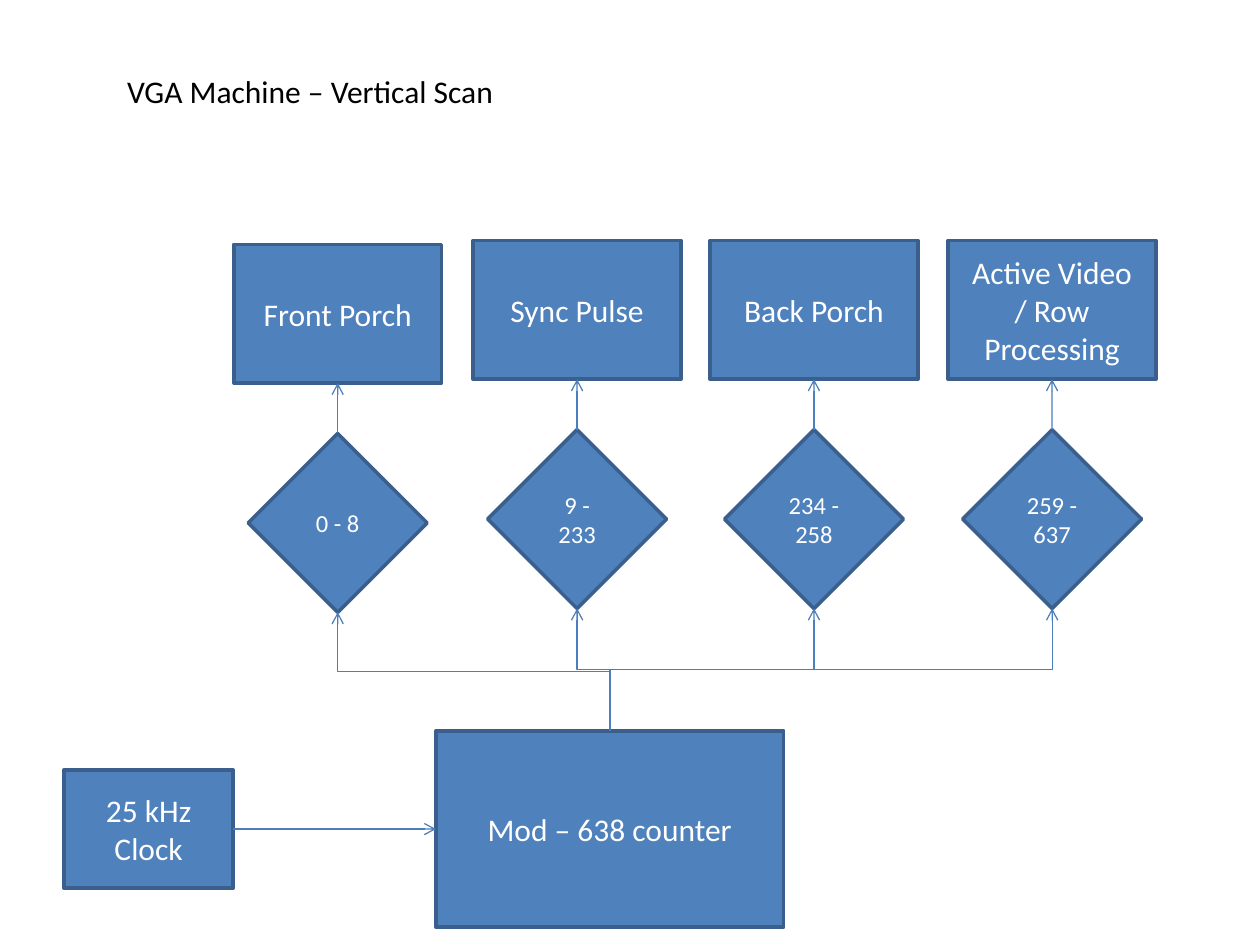
from lxml import etree
from pptx import Presentation
from pptx.dml.color import RGBColor
from pptx.enum.shapes import MSO_CONNECTOR, MSO_SHAPE
from pptx.enum.text import MSO_ANCHOR, MSO_AUTO_SIZE, PP_ALIGN
from pptx.oxml.ns import qn
from pptx.util import Inches, Pt

RECTANGLE = MSO_SHAPE.RECTANGLE
DIAMOND = MSO_SHAPE.DIAMOND
PROCESS = MSO_SHAPE.FLOWCHART_PROCESS
STRAIGHT = MSO_CONNECTOR.STRAIGHT
ELBOW = MSO_CONNECTOR.ELBOW
MIDDLE = MSO_ANCHOR.MIDDLE
CENTER = PP_ALIGN.CENTER
LEFT = PP_ALIGN.LEFT
FIT_SHAPE = MSO_AUTO_SIZE.SHAPE_TO_FIT_TEXT

BLUE = RGBColor(0x4F, 0x81, 0xBD)
BORDER = RGBColor(0x3A, 0x5F, 0x8C)
ARROW = RGBColor(0x4B, 0x7E, 0xBC)
WHITE = RGBColor(0xFF, 0xFF, 0xFF)
BLACK = RGBColor(0, 0, 0)

TOP, SIDE_LEFT, BOTTOM, SIDE_RIGHT = range(4)
QUARTER_TURN = 5400000

STATE_WIDTH, STATE_HEIGHT = 1.65, 1.1
RANGE_SIZE = 1.42
RANGE_OFFSET = 1.5  # from the top of a state to the top of its range
STATES = [  # centre x, top, state lines, count range
    (2.68, 1.94, ["Front Porch"], "0 - 8"),
    (4.58, 1.91, ["Sync Pulse"], "9 - 233"),
    (6.46, 1.91, ["Back Porch"], "234 - 258"),
    (8.35, 1.91, ["Active Video", "/ Row Processing"], "259 - 637"),
]


class Diagram:
    """Holds the current slide and the style of its elements."""

    font = "Calibri"

    def __init__(self, slide):
        self.slide = slide

    def add_lines(self, frame, lines, size, color, align):
        frame.word_wrap = True
        for index, line in enumerate(lines):
            paragraph = frame.add_paragraph() if index else frame.paragraphs[0]
            paragraph.alignment = align
            run = paragraph.add_run()
            run.text = line
            run.font.name = self.font
            run.font.size = Pt(size)
            run.font.color.rgb = color

    def title(self, text, left, top, width, height):
        box = self.slide.shapes.add_textbox(
            Inches(left), Inches(top), Inches(width), Inches(height))
        self.add_lines(box.text_frame, [text], 18, BLACK, LEFT)
        box.text_frame.auto_size = FIT_SHAPE

    def block(self, kind, lines, left, top, width, height, size=18):
        block = self.slide.shapes.add_shape(
            kind, Inches(left), Inches(top), Inches(width), Inches(height))
        block.shadow.inherit = False
        block.fill.solid()
        block.fill.fore_color.rgb = BLUE
        block.line.color.rgb = BORDER
        block.line.width = Pt(2)
        block.text_frame.vertical_anchor = MIDDLE
        self.add_lines(block.text_frame, lines, size, WHITE, CENTER)
        return block

    def style_arrow(self, arrow):
        arrow.line.color.rgb = ARROW
        arrow.line.width = Pt(0.75)
        properties = arrow._element.spPr
        etree.SubElement(properties.find(qn("a:ln")), qn("a:tailEnd"), type="arrow")
        etree.SubElement(properties, qn("a:effectLst"))

    def arrow(self, start, start_side, end, end_side):
        arrow = self.slide.shapes.add_connector(STRAIGHT, 0, 0, 0, 0)
        arrow.begin_connect(start, start_side)
        arrow.end_connect(end, end_side)
        self.style_arrow(arrow)

    def rising_elbow(self, start, end):
        """Lead from the top of start up, across and up to the bottom of end."""
        start_x, end_x = (block.left + block.width // 2 for block in (start, end))
        end_y = end.top + end.height
        middle_x, middle_y = (start_x + end_x) // 2, (start.top + end_y) // 2
        half_rise = (start.top - end_y) // 2
        half_run = abs(end_x - start_x) // 2
        # Elbows leave sideways, so lay the path out flat and turn it upright.
        goes_right = end_x > start_x
        reach = half_rise if goes_right else -half_rise
        arrow = self.slide.shapes.add_connector(
            ELBOW, middle_x + reach, middle_y + half_run,
            middle_x - reach, middle_y - half_run)
        turns = 1 if goes_right else 3
        frame = arrow._element.spPr.find(qn("a:xfrm"))
        frame.set("rot", str(turns * QUARTER_TURN))
        self.style_arrow(arrow)


def main():
    deck = Presentation()
    deck.slide_width, deck.slide_height = Inches(10), Inches(7.5)
    diagram = Diagram(deck.slides.add_slide(deck.slide_layouts[6]))

    diagram.title("VGA Machine – Vertical Scan", 0.91, 0.52, 3.68, 0.4)
    counter = diagram.block(RECTANGLE, ["Mod – 638 counter"], 3.46, 5.8, 2.76, 1.56)

    for center, top, state_lines, count_range in STATES:
        state = diagram.block(RECTANGLE, state_lines, center - STATE_WIDTH / 2, top,
                              STATE_WIDTH, STATE_HEIGHT)
        decision = diagram.block(DIAMOND, [count_range], center - RANGE_SIZE / 2,
                                 top + RANGE_OFFSET, RANGE_SIZE, RANGE_SIZE, size=14)
        diagram.arrow(decision, TOP, state, BOTTOM)
        diagram.rising_elbow(counter, decision)

    clock = diagram.block(PROCESS, ["25 kHz Clock"], 0.51, 6.11, 1.34, 0.94)
    diagram.arrow(clock, SIDE_RIGHT, counter, SIDE_LEFT)

    deck.save("out.pptx")


if __name__ == "__main__":
    main()
